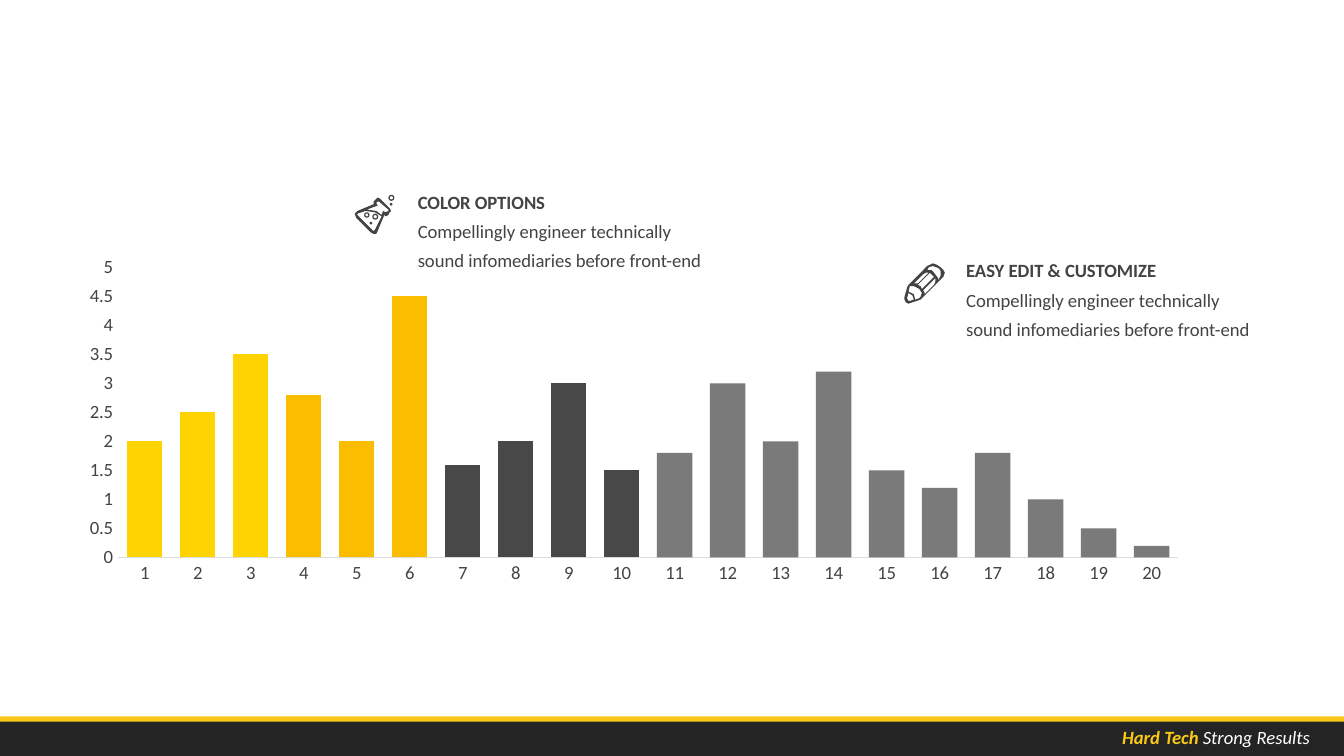
"""Build a column chart slide with two icon callouts and a footer band."""
from dataclasses import dataclass

from lxml import etree
from pptx import Presentation
from pptx import util as u
from pptx.chart.data import CategoryChartData
from pptx.dml.color import RGBColor
from pptx.enum import chart as ch, shapes, text
from pptx.oxml.ns import qn

EMU_PER_PX = 4572
ICON_UNIT_PX = 2


@dataclass(frozen=True)
class Theme:
    font: str = "Calibri"
    size: int = 10
    spacing: float = 1.3
    accent: str = "FAC918"
    band: str = "242424"
    white: str = "FFFFFF"
    ink: str = "434343"
    axis: str = "DBDBDB"
    yellow: str = "FFD300"
    amber: str = "FBBD00"
    dark: str = "484848"
    gray: str = "595959"


@dataclass(frozen=True)
class Box:
    x: int
    y: int
    w: int
    h: int

    def emu(self) -> tuple:
        return tuple(px(v) for v in (self.x, self.y, self.w, self.h))


@dataclass(frozen=True)
class Callout:
    box: Box
    heading: str
    body: str


@dataclass(frozen=True)
class BarGroup:
    color: str
    values: tuple
    opacity: int = 100


THEME = Theme()
BODY = "Compellingly engineer technically sound infomediaries before front-end"
CALLOUTS = (
    Callout(Box(1418, 366, 484, 152), "EASY EDIT & CUSTOMIZE", BODY),
    Callout(Box(602, 264, 484, 148), "COLOR OPTIONS", BODY),
)
BAR_GROUPS = (
    BarGroup(THEME.yellow, (2, 2.5, 3.5)),
    BarGroup(THEME.amber, (2.8, 2, 4.5)),
    BarGroup(THEME.dark, (1.6, 2, 3, 1.5)),
    BarGroup(THEME.gray, (1.8, 3, 2, 3.2, 1.5, 1.2, 1.8, 1, 0.5, 0.2), 80),
)
PENCIL = (
    ((700, 199), (697, 197), (694, 196), (690, 198), (676, 212), (675, 214), (673, 221),
     (673, 223), (674, 225), (676, 226), (685, 223), (686, 222), (700, 208), (702, 206),
     (703, 203), (702, 201)),
    ((688, 218), (687, 216), (696, 207), (696, 210), (695, 212), (688, 219)),
    ((686, 215), (685, 213), (683, 212), (692, 203), (694, 205), (695, 206)),
    ((683, 211), (680, 211), (687, 204), (689, 203), (691, 203)),
    ((677, 224), (676, 224), (675, 222), (676, 218), (679, 220), (680, 223)),
    ((681, 223), (680, 219), (676, 217), (677, 213), (680, 213), (684, 215), (686, 218),
     (685, 221), (684, 222)),
    ((699, 207), (698, 209), (698, 207), (695, 203), (693, 201), (690, 201), (691, 199),
     (694, 198), (697, 199), (699, 200), (700, 202), (700, 205)),
)
FLASK = (
    ((283, 148), (281, 147), (280, 148), (278, 150), (278, 152), (266, 157), (264, 159),
     (265, 162), (276, 173), (278, 174), (280, 174), (281, 172), (286, 160), (287, 161),
     (289, 160), (290, 158), (291, 157), (290, 155)),
    ((279, 171), (278, 172), (266, 160), (266, 159), (272, 157), (279, 158), (284, 161)),
    ((289, 157), (287, 158), (285, 157), (284, 160), (280, 157), (273, 156), (281, 153),
     (280, 151), (281, 150), (282, 150), (289, 156)),
)
BUBBLES = (Box(554, 318, 9, 9), Box(578, 290, 9, 9), Box(542, 316, 8, 8))
DOTS = (Box(550, 330, 4, 4), Box(580, 302, 4, 4))


def px(n: int) -> int:
    return u.Emu(n * EMU_PER_PX)


def paint(sp, color: str) -> None:
    sp.shadow.inherit = False
    sp.fill.solid()
    sp.fill.fore_color.rgb = RGBColor.from_string(color)
    sp.line.fill.background()


def add_preset(slide, kind, box: Box, color: str):
    sp = slide.shapes.add_shape(kind, *box.emu())
    paint(sp, color)
    return sp


def add_outline(slide, contours: tuple, color: str) -> None:
    first, *holes = contours
    builder = slide.shapes.build_freeform(*first[0], scale=px(ICON_UNIT_PX))
    builder.add_line_segments(first[1:], close=True)
    for hole in holes:
        builder.move_to(*hole[0])
        builder.add_line_segments(hole[1:], close=True)
    paint(builder.convert_to_shape(), color)


def style_font(font, color: str, bold: bool = False) -> None:
    font.name, font.size, font.bold = THEME.font, u.Pt(THEME.size), bold
    font.color.rgb = RGBColor.from_string(color)


def add_text_frame(slide, box: Box):
    tf = slide.shapes.add_textbox(*box.emu()).text_frame
    tf.word_wrap = True
    tf.auto_size = text.MSO_AUTO_SIZE.SHAPE_TO_FIT_TEXT
    return tf


def add_callout(slide, callout: Callout) -> None:
    tf = add_text_frame(slide, callout.box)
    tf.text = f"{callout.heading}\n{callout.body}"
    for i, p in enumerate(tf.paragraphs):
        p.line_spacing = THEME.spacing
        style_font(p.font, THEME.ink, bold=i == 0)


def add_footer(slide) -> None:
    for y, color in ((1066, THEME.accent), (1074, THEME.band)):
        add_preset(slide, shapes.MSO_SHAPE.RECTANGLE, Box(0, y, 2000, 52), color)
    p = add_text_frame(slide, Box(1603, 1070, 366, 54)).paragraphs[0]
    p.alignment = text.PP_ALIGN.RIGHT
    for words, color, bold in (("Hard Tech ", THEME.accent, True),
                               ("Strong Results", THEME.white, False)):
        r = p.add_run()
        r.text = words
        style_font(r.font, color, bold)
        r.font.italic = True


def add_bars(slide, box: Box) -> None:
    bars = [(group, value) for group in BAR_GROUPS for value in group.values]
    data = CategoryChartData()
    data.categories = [str(n) for n in range(1, len(bars) + 1)]
    data.add_series("Series 1", [value for _, value in bars])
    chart = slide.shapes.add_chart(ch.XL_CHART_TYPE.COLUMN_CLUSTERED, *box.emu(), data).chart
    chart.has_legend = chart.has_title = False
    style_font(chart.font, THEME.ink)
    plot = chart.plots[0]
    plot.gap_width, plot.overlap, plot.vary_by_categories = 50, -27, False
    series = plot.series[0]
    series.format.fill.solid()
    series.format.fill.fore_color.rgb = RGBColor.from_string(THEME.yellow)
    for i, (group, _) in enumerate(bars):
        fill = series.points[i].format.fill
        fill.solid()
        fill.fore_color.rgb = RGBColor.from_string(group.color)
    for (group, _), point in zip(bars, chart.element.iter(qn("c:dPt"))):
        if group.opacity < 100:
            alpha = etree.SubElement(next(point.iter(qn("a:srgbClr"))), qn("a:alpha"))
            alpha.set("val", str(group.opacity * 1000))
    for axis in (chart.category_axis, chart.value_axis):
        axis.has_major_gridlines = False
        axis.major_tick_mark = axis.minor_tick_mark = ch.XL_TICK_MARK.NONE
        style_font(axis.tick_labels.font, THEME.ink)
    line = chart.category_axis.format.line
    line.color.rgb, line.width = RGBColor.from_string(THEME.axis), u.Pt(0.75)
    values = chart.value_axis
    values.minimum_scale, values.maximum_scale, values.major_unit = 0, 5, 0.5
    values.format.line.fill.background()


def main() -> None:
    prs = Presentation()
    prs.slide_width, prs.slide_height = px(2000), px(1125)
    slide = prs.slides.add_slide(prs.slide_layouts[6])
    add_footer(slide)
    add_bars(slide, Box(100, 372, 1687, 507))
    for icon in (PENCIL, FLASK):
        add_outline(slide, icon, THEME.ink)
    for box in BUBBLES:
        add_preset(slide, shapes.MSO_SHAPE.DONUT, box, THEME.ink).adjustments[0] = 0.22
    for box in DOTS:
        add_preset(slide, shapes.MSO_SHAPE.OVAL, box, THEME.ink)
    for callout in CALLOUTS:
        add_callout(slide, callout)
    prs.save("out.pptx")


if __name__ == "__main__":
    main()
